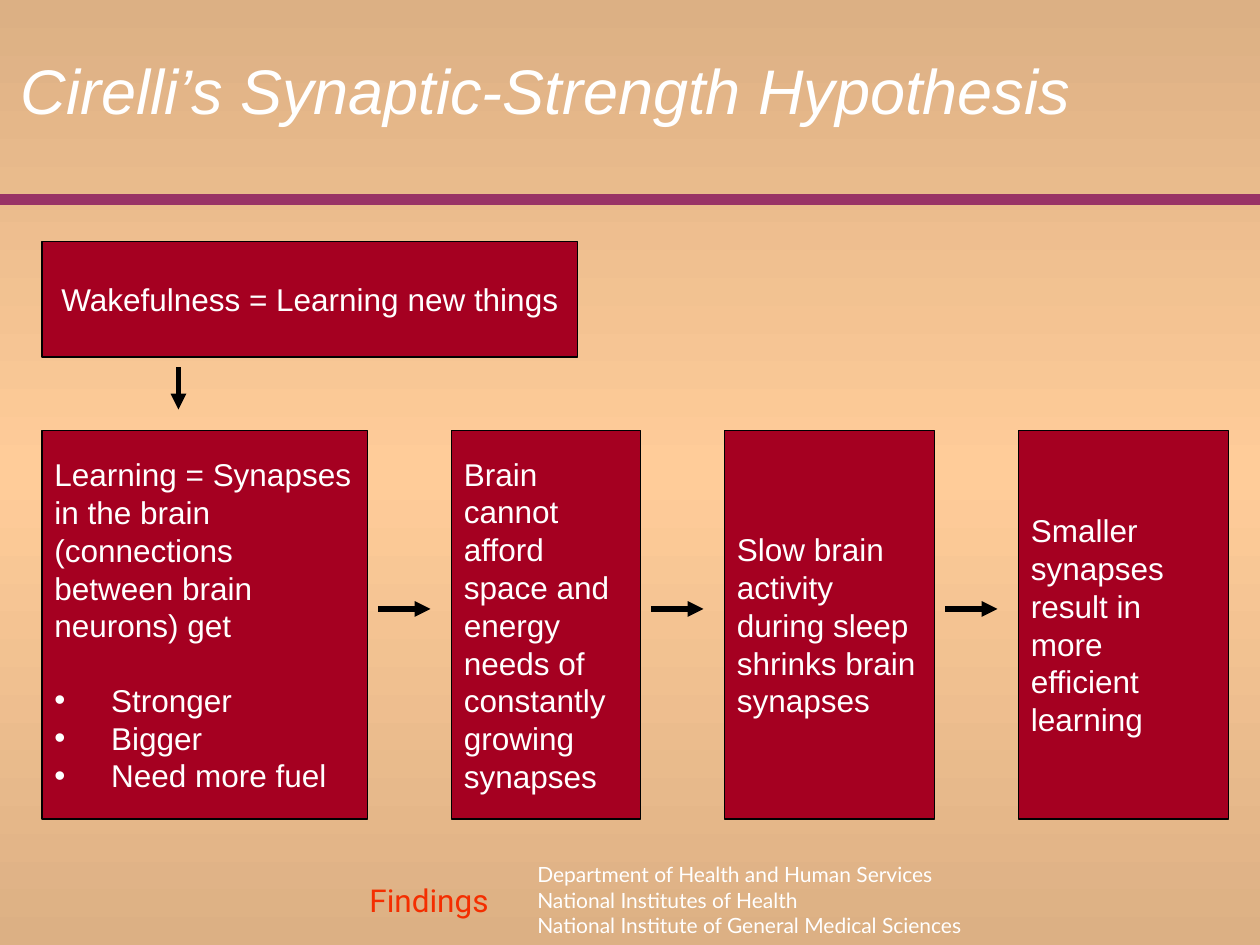
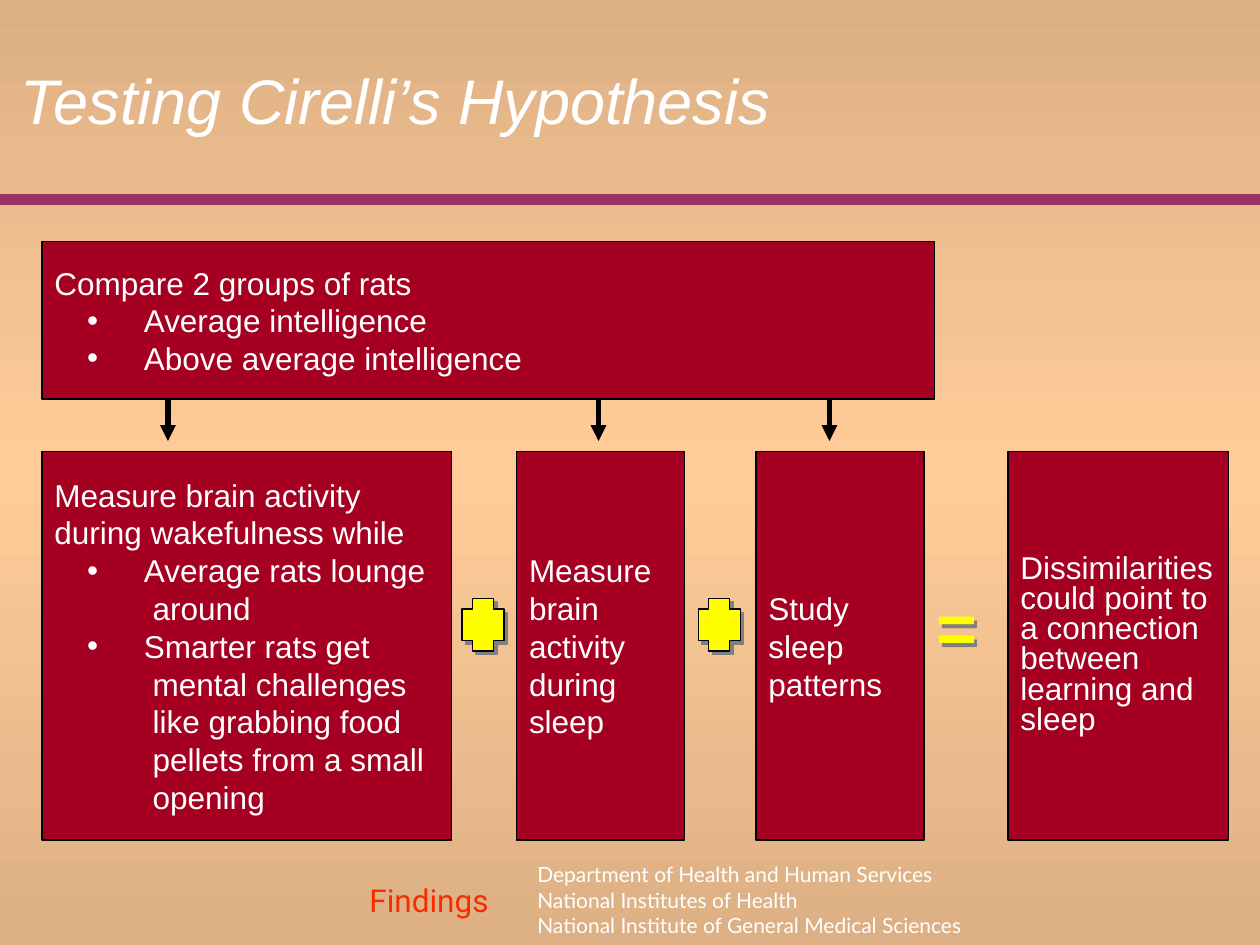
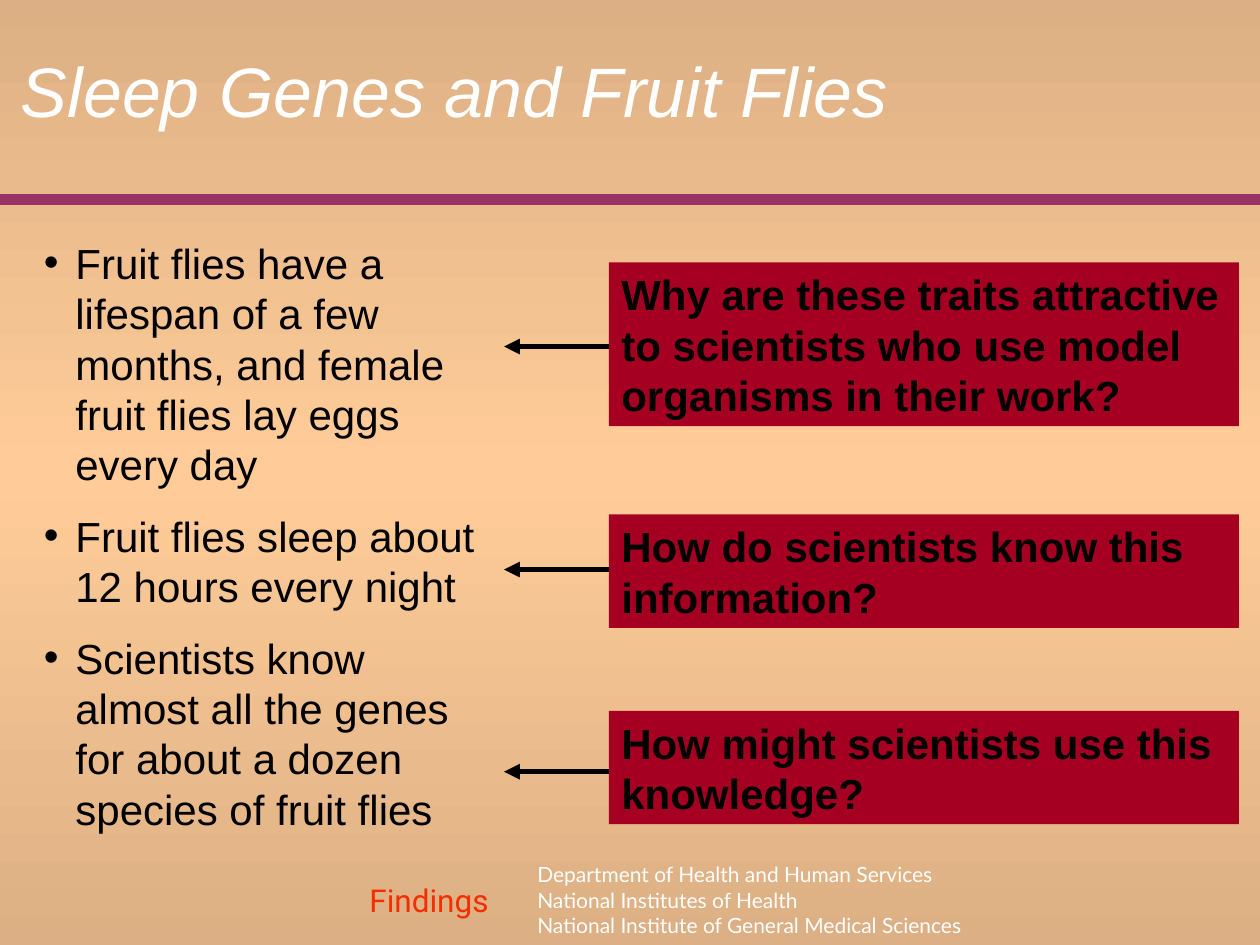
from copy import deepcopy

from lxml.etree import SubElement
from pptx import Presentation
from pptx.dml.color import RGBColor
from pptx.enum.shapes import MSO_CONNECTOR, MSO_SHAPE
from pptx.enum.text import MSO_ANCHOR, MSO_AUTO_SIZE, PP_ALIGN
from pptx.oxml.ns import qn
from pptx.util import Inches, Pt

WHITE = RGBColor(0xFF, 0xFF, 0xFF)
BLACK = RGBColor(0, 0, 0)
CRIMSON = RGBColor(0xA5, 0x00, 0x21)
PLUM = RGBColor(0x99, 0x33, 0x66)
YELLOW = RGBColor(0xFF, 0xFF, 0x00)
GREY = RGBColor(0x80, 0x80, 0x80)
ORANGE = RGBColor(0xF4, 0x2E, 0x00)
TAN = RGBColor(0xDC, 0xB0, 0x84)
PEACH = RGBColor(0xFF, 0xCC, 0x99)

# Every place is in grid cells; the slide is 120 columns by 90 rows.
COLUMNS, ROWS = 120, 90
CELL = Inches(10) / COLUMNS

# Paragraph styles: left margin and first-line indent in inches
FLUSH = {}
BULLET = dict(margin=0.45, indent=-0.45, bullet=True)
FIRST_BULLET = dict(BULLET, before=21)
INNER_BULLET = dict(margin=0.71, indent=-0.45, bullet=True)
CONTINUED = dict(margin=0.78, indent=0)
FACT = dict(margin=0.25, indent=-0.25, bullet=True, before=12)
QUESTION = dict(before=12)
TIGHT = dict(line_spacing=0.8, before=2.4)

FOOTER_NAME = "Findings"
FOOTER_LINES = [
    "Department of Health and Human Services",
    "National Institutes of Health",
    "National Institute of General Medical Sciences",
]

# Rows of boxes: (left, width, paragraphs); a paragraph is (text, style)
WAKEFULNESS = [("Wakefulness = Learning new things", FLUSH)]
HYPOTHESIS_TOP, TEST_TOP, STEP_HEIGHT = 41, 43, 37
HYPOTHESIS_STEPS = [
    (4, 31, [
        ("Learning = Synapses in the brain (connections between brain neurons) get", FLUSH),
        ("Stronger", FIRST_BULLET),
        ("Bigger", BULLET),
        ("Need more fuel", BULLET),
    ]),
    (43, 18, [("Brain cannot afford space and energy needs of constantly growing synapses", FLUSH)]),
    (69, 20, [("Slow brain activity during sleep shrinks brain synapses", FLUSH)]),
    (97, 20, [("Smaller synapses result in more efficient learning", FLUSH)]),
]

RAT_GROUPS = [
    ("Compare 2 groups of rats", FLUSH),
    ("Average intelligence", INNER_BULLET),
    ("Above average intelligence", INNER_BULLET),
]
TEST_STEPS = [
    (4, 39, [
        ("Measure brain activity during wakefulness while", FLUSH),
        ("Average rats lounge", INNER_BULLET),
        ("around", CONTINUED),
        ("Smarter rats get", INNER_BULLET),
        ("mental challenges", CONTINUED),
        ("like grabbing food", CONTINUED),
        ("pellets from a small", CONTINUED),
        ("opening", CONTINUED),
    ]),
    (49.2, 16, [("Measure brain activity during sleep", FLUSH)]),
    (72, 16, [("Study sleep patterns", FLUSH)]),
    (96, 21, [("Dissimilarities could point to a connection between learning and sleep", TIGHT)]),
]
TEST_ARROW_COLUMNS = [16, 57, 79]
PLUS_COLUMNS = [44, 66.5]

FLY_FACTS = [
    "Fruit flies have a lifespan of a few months, and female fruit flies lay eggs every day",
    "Fruit flies sleep about 12 hours every night",
    "Scientists know almost all the genes for about a dozen species of fruit flies",
]
# (top, height, arrow row, question)
FLY_QUESTIONS = [
    (25, 15.6, 33, "Why are these traits attractive to scientists who use model organisms in their work?"),
    (49, 10.8, 54.25, "How do scientists know this information?"),
    (67.7, 10.8, 73.5, "How might scientists use this knowledge?"),
]


def cells(*counts):
    return [round(count * CELL) for count in counts]


def style_paragraph(para, color, margin=0, indent=0, bullet=False, before=0, line_spacing=None):
    properties = para._p.get_or_add_pPr()
    properties.set("marL", str(Inches(margin)))
    properties.set("indent", str(Inches(indent)))
    if bullet:
        bullet_color = SubElement(properties, qn("a:buClr"))
        SubElement(bullet_color, qn("a:srgbClr"), val=str(color))
        SubElement(properties, qn("a:buFont"), typeface="Arial")
        SubElement(properties, qn("a:buChar"), char="•")
    para.space_before = Pt(before)
    if line_spacing:
        para.line_spacing = line_spacing


def write(shape, paragraphs, size=18, font="Arial", color=WHITE, bold=False, italic=False,
          align=PP_ALIGN.LEFT, anchor=MSO_ANCHOR.TOP, inset=True, grow=False):
    frame = shape.text_frame
    frame.word_wrap = True
    frame.vertical_anchor = anchor
    frame.auto_size = MSO_AUTO_SIZE.SHAPE_TO_FIT_TEXT if grow else MSO_AUTO_SIZE.NONE
    if not inset:
        frame.margin_left = frame.margin_right = frame.margin_top = frame.margin_bottom = 0
    for index, (text, style) in enumerate(paragraphs):
        para = frame.paragraphs[0] if index == 0 else frame.add_paragraph()
        para.alignment = align
        style_paragraph(para, color, **style)
        span = para.add_run()
        span.text = text
        span.font.name, span.font.size = font, Pt(size)
        span.font.bold, span.font.italic = bold, italic
        span.font.color.rgb = color


def add_text(page, place, paragraphs, **text_format):
    box = page.shapes.add_textbox(*cells(*place))
    write(box, paragraphs, **text_format)
    return box


def add_block(page, place, kind=MSO_SHAPE.RECTANGLE, fill=CRIMSON, outlined=True):
    block = page.shapes.add_shape(kind, *cells(*place))
    block.shadow.inherit = False
    block.fill.solid()
    block.fill.fore_color.rgb = fill
    if outlined:
        block.line.color.rgb = BLACK
        block.line.width = Pt(0.75)
    else:
        block.line.fill.background()
    return block


def add_step(page, place, paragraphs, align=PP_ALIGN.LEFT):
    write(add_block(page, place), paragraphs, align=align, anchor=MSO_ANCHOR.MIDDLE)


def add_line(page, start, end, color=BLACK, width=3, arrow=True):
    line = page.shapes.add_connector(MSO_CONNECTOR.STRAIGHT, *cells(*start, *end))
    line.line.color.rgb = color
    line.line.width = Pt(width)
    if arrow:
        SubElement(line.line._get_or_add_ln(), qn("a:tailEnd"), type="triangle")
    SubElement(line._element.spPr, qn("a:effectLst"))


def cast_shadow(shape):
    """Give the shape a hard grey shadow towards the lower right."""
    shape.shadow.inherit = False
    effects = shape._element.spPr.find(qn("a:effectLst"))
    shadow = SubElement(effects, qn("a:outerShdw"), dist=str(Pt(2.8)), dir="2700000",
                        algn="ctr", rotWithShape="0")
    SubElement(shadow, qn("a:srgbClr"), val=str(GREY))


def paint_background(page):
    fill = page.background.fill
    fill.gradient()
    fill.gradient_angle = 90
    stops = page._element.find(".//" + qn("a:gsLst"))
    stops.append(deepcopy(stops[-1]))
    for stop, position, color in zip(fill.gradient_stops, (0, 0.5, 1), (TAN, PEACH, TAN)):
        stop.position = position
        stop.color.rgb = color


def add_page(deck, title, top=1, width=115, size=36):
    """Add a slide with the shared background, rule, footer and title."""
    page = deck.slides.add_slide(deck.slide_layouts[6])
    paint_background(page)
    add_line(page, (0, 19), (COLUMNS, 19), color=PLUM, width=6, arrow=False)
    add_text(page, (34, 84, 16, 4.1), [(FOOTER_NAME, dict(line_spacing=0.8))],
             font="Roboto", color=ORANGE, grow=True)
    add_text(page, (50, 81.5, 47, 10.8), [(line, FLUSH) for line in FOOTER_LINES],
             size=12, font="Lato", grow=True)
    add_text(page, (2, top, width, 15), [(title, FLUSH)], size=size, italic=True,
             anchor=MSO_ANCHOR.MIDDLE, inset=False)
    return page


def add_hypothesis(deck):
    page = add_page(deck, "Cirelli’s Synaptic-Strength Hypothesis", width=108)
    add_step(page, (4, 23, 51, 11), WAKEFULNESS, align=PP_ALIGN.CENTER)
    add_line(page, (17, 35), (17, 39))
    for left, width, paragraphs in HYPOTHESIS_STEPS:
        add_step(page, (left, HYPOTHESIS_TOP, width, STEP_HEIGHT), paragraphs)
    for left, width, _ in HYPOTHESIS_STEPS[:-1]:
        right = left + width
        add_line(page, (right + 1, 58), (right + 6, 58))


def add_test(deck):
    page = add_page(deck, "Testing Cirelli’s Hypothesis", top=2, width=113)
    add_step(page, (4, 23, 85, 15), RAT_GROUPS)
    for left, width, paragraphs in TEST_STEPS:
        add_step(page, (left, TEST_TOP, width, STEP_HEIGHT), paragraphs)
    for column in TEST_ARROW_COLUMNS:
        add_line(page, (column, 38), (column, 42))
    for column in PLUS_COLUMNS:
        plus = add_block(page, (column, 57, 4, 5), kind=MSO_SHAPE.CROSS, fill=YELLOW)
        plus.adjustments[0] = 0.25
        cast_shadow(plus)
    equals = add_text(page, (88, 55, 5, 9.1), [("=", dict(before=20))],
                      size=40, color=YELLOW, bold=True, grow=True)
    cast_shadow(equals)


def add_fruit_flies(deck):
    page = add_page(deck, "Sleep Genes and Fruit Flies", size=40)
    add_text(page, (3, 22, 44, 58), [(fact, FACT) for fact in FLY_FACTS],
             size=24, color=BLACK, grow=True)
    for top, height, arrow_row, question in FLY_QUESTIONS:
        block = add_block(page, (58, top, 60, height), outlined=False)
        write(block, [(question, QUESTION)], size=24, color=BLACK, bold=True, grow=True)
        add_line(page, (58, arrow_row), (48, arrow_row))


def main():
    deck = Presentation()
    deck.slide_width, deck.slide_height = cells(COLUMNS, ROWS)
    add_hypothesis(deck)
    add_test(deck)
    add_fruit_flies(deck)
    deck.save("out.pptx")


if __name__ == "__main__":
    main()
